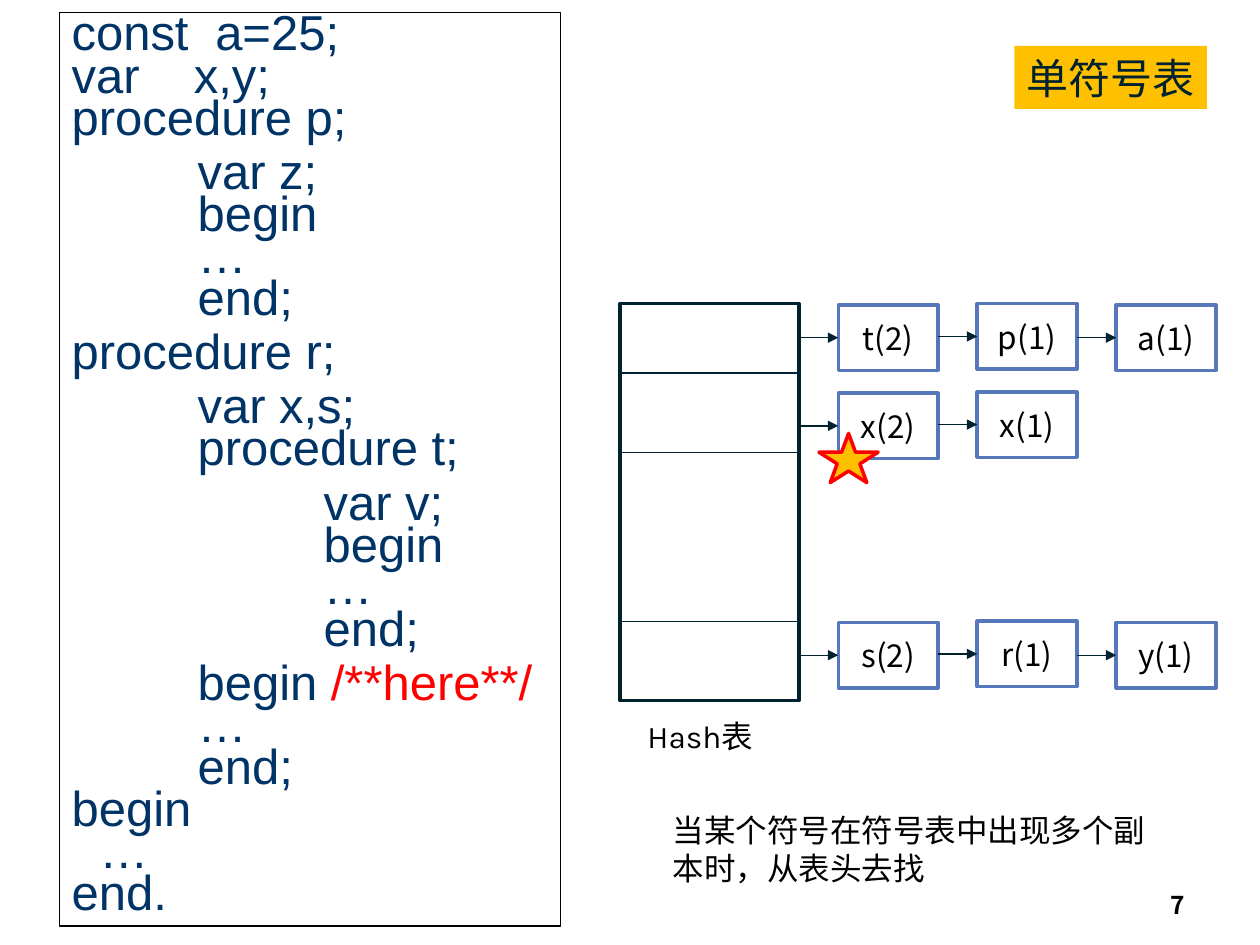
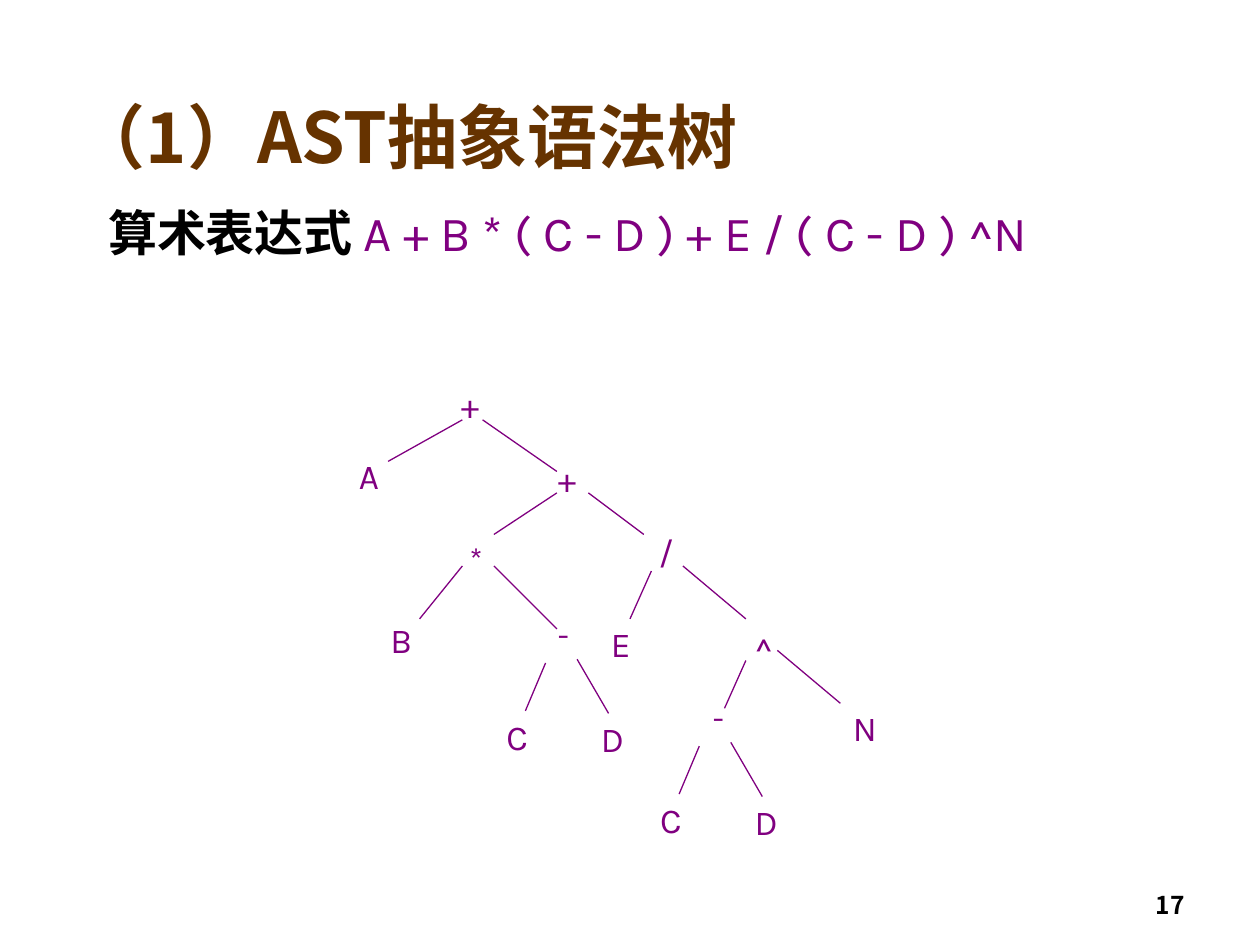
from dataclasses import dataclass

from lxml.etree import SubElement
from pptx import Presentation
from pptx.dml.color import RGBColor
from pptx.enum.shapes import MSO_CONNECTOR, MSO_SHAPE
from pptx.enum.text import MSO_ANCHOR, MSO_AUTO_SIZE, PP_ALIGN
from pptx.oxml.ns import qn
from pptx.util import Inches, Pt

COLS, ROWS = 100, 75
SLIDE_W, SLIDE_H = Inches(10), Inches(7.5)


@dataclass(frozen=True)
class Theme:
    black: str = "000000"
    ink: str = "00212E"
    code: str = "003366"
    red: str = "FF0000"
    node: str = "5677BC"
    gold: str = "FFC000"
    title: str = "663300"
    purple: str = "800080"
    code_font: str = "Arial"
    body_font: str = "Karla"
    cjk_font: str = "Noto Sans CJK SC"
    title_size: float = 40
    large: float = 28
    label: float = 24
    leaf: float = 20
    body: float = 18
    page: float = 14
    thin: float = 0.75
    thick: float = 2


T = Theme()


@dataclass(frozen=True)
class Box:
    x: float
    y: float
    w: float
    h: float

    def at(self, dx, dy, w, h):
        return Box(self.x + dx, self.y + dy, w, h)

    def emu(self):
        return (*point(self.x, self.y), *point(self.w, self.h))


def point(col, row):
    return round(SLIDE_W * col / COLS), round(SLIDE_H * row / ROWS)


def rgb(color):
    return RGBColor.from_string(color)


def add_run(p, text, size, color, font=T.body_font, bold=False):
    r = p.add_run()
    r.text = text
    r.font.size, r.font.bold, r.font.name = Pt(size), bold, font
    r.font.color.rgb = rgb(color)
    if font != T.code_font:
        ea = SubElement(r.font._element, qn("a:ea"))
        ea.set("typeface", T.cjk_font)


def indent(p, cols):
    p._p.get_or_add_pPr().set("marL", str(point(cols, 0)[0]))


def add_tab_stop(p, cols):
    tabs = SubElement(p._p.get_or_add_pPr(), qn("a:tabLst"))
    tab = SubElement(tabs, qn("a:tab"))
    tab.set("pos", str(point(cols, 0)[0]))
    tab.set("algn", "l")


def add_text(s, box, wrap=True, grow=True, anchor=MSO_ANCHOR.TOP):
    tf = s.shapes.add_textbox(*box.emu()).text_frame
    tf.word_wrap = wrap
    tf.auto_size = MSO_AUTO_SIZE.SHAPE_TO_FIT_TEXT if grow else MSO_AUTO_SIZE.NONE
    tf.vertical_anchor = anchor
    return tf.paragraphs[0]


def add_shape(s, box, line=None, width=T.thick, fill=None, kind=MSO_SHAPE.RECTANGLE):
    sp = s.shapes.add_shape(kind, *box.emu())
    sp.shadow.inherit = False
    if fill:
        sp.fill.solid()
        sp.fill.fore_color.rgb = rgb(fill)
    else:
        sp.fill.background()
    if line:
        sp.line.color.rgb = rgb(line)
        sp.line.width = Pt(width)
    else:
        sp.line.fill.background()
    return sp


def add_line(s, x1, y1, x2, y2, color, arrow=False):
    c = s.shapes.add_connector(MSO_CONNECTOR.STRAIGHT, *point(x1, y1), *point(x2, y2))
    c.line.color.rgb = rgb(color)
    c.line.width = Pt(T.thin)
    if arrow:
        SubElement(c.line._get_or_add_ln(), qn("a:tailEnd")).set("type", "triangle")
    SubElement(c._element.spPr, qn("a:effectLst"))


def page_number(s, number):
    p = add_text(s, Box(71.7, 68.3, 23.3, 5.2), grow=False, anchor=MSO_ANCHOR.BOTTOM)
    p.alignment = PP_ALIGN.RIGHT
    add_run(p, str(number), T.page, T.black, T.cjk_font, True)


CODE = [
    (0, 7, "const\ta=25;", 11.4), (0, 0, "var\tx,y;", 9.7), (0, 0, "procedure p;"),
    (10, 7, "var z;"), (10, 0, "begin"), (10, 0, "…"), (10, 0, "end;"),
    (0, 7, "procedure r;"),
    (10, 7, "var x,s;"), (10, 0, "procedure t;"),
    (20, 7, "var v;"), (20, 0, "begin"), (20, 0, "…"), (20, 0, "end;"),
    (10, 7, "begin /**here**/"), (10, 0, "…"), (10, 0, "end;"),
    (0, 0, "begin"), (2.2, 0, "…"), (0, 0, "end."),
]


def code_panel(s, box):
    tf = add_shape(s, box, T.black, T.thin).text_frame
    tf.word_wrap = True
    tf.vertical_anchor = MSO_ANCHOR.TOP
    for i, (cols, before, text, *stops) in enumerate(CODE):
        p = tf.add_paragraph() if i else tf.paragraphs[0]
        p.alignment = PP_ALIGN.LEFT
        p.line_spacing, p.space_before = Pt(24), Pt(before)
        indent(p, cols)
        for stop in stops:
            add_tab_stop(p, stop)
        plain, mark, comment = text.partition("/**")
        add_run(p, plain, T.large, T.code, T.code_font)
        if mark:
            add_run(p, mark + comment, T.large, T.red, T.code_font)


BUCKET_EDGES = [5.5, 11.8, 25.2]
CHAINS = [(0.1, ["t(2)", "p(1)", "a(1)"]), (7.1, ["x(2)", "x(1)"]),
          (25.3, ["s(2)", "r(1)", "y(1)"])]


def hash_table(s, box):
    table_w, node_w, node_h, gap = 14.2, 7.9, 5.2, 3.13
    table = box.at(0, 0, table_w, box.h)
    add_shape(s, table, T.ink)
    for dy in BUCKET_EDGES:
        add_line(s, box.x, box.y + dy, box.x + table_w, box.y + dy, T.ink)
    for dy, names in CHAINS:
        for i, name in enumerate(names):
            node = box.at(table_w + gap + i * (node_w + gap), dy - i % 2 * 0.1,
                          node_w, node_h)
            sp = add_shape(s, node, T.node)
            p = sp.text_frame.paragraphs[0]
            p.alignment = PP_ALIGN.CENTER
            add_run(p, name, T.body, T.black, T.cjk_font)
            mid = node.y + node_h / 2
            add_line(s, node.x - gap, mid, node.x, mid, T.ink, arrow=True)
    add_run(add_text(s, box.at(1.2, 32.3, 11.1, 4), wrap=False), "Hash表", T.body, T.black)
    add_shape(s, box.at(15.8, 10.3, 4.7, 3.9), T.red, fill=T.gold,
              kind=MSO_SHAPE.STAR_5_POINT)


def heading_tag(s, box):
    sp = add_shape(s, box, fill=T.gold)
    tf = sp.text_frame
    tf.word_wrap = False
    p = tf.paragraphs[0]
    p.alignment = PP_ALIGN.LEFT
    add_run(p, "单符号表", T.label, T.ink)


def symbol_table_slide(s):
    code_panel(s, Box(4.7, 1, 39.8, 72.5))
    hash_table(s, Box(49.2, 24.1, 47.3, 31.5))
    add_run(add_text(s, Box(52.4, 63.9, 41, 7)),
            "当某个符号在符号表中出现多个副本时，从表头去找", T.body, T.black)
    heading_tag(s, Box(80.5, 3.65, 15.3, 5))
    page_number(s, 7)


NODES = [
    ("+", 8.1, 0, 4.4, T.leaf), ("A", 0, 5.7, 4.2, T.leaf),
    ("+", 15.8, 5.9, 4.2, T.leaf), ("*", 8.8, 12.4, 3.7, T.body),
    ("/", 23.8, 11.7, 3.7, T.leaf), ("B", 2.5, 18.7, 4.2, T.leaf),
    ("-", 15.8, 18.4, 4.2, T.body), ("E", 20, 19, 4.2, T.leaf),
    ("^", 31.4, 19.2, 5.2, T.leaf), ("N", 39.2, 25.7, 4.2, T.leaf),
    ("-", 28.1, 25, 4.2, T.body),
]
EDGES = [
    (9.2, 3.4, 3.3, 6.7), (10.8, 3.4, 16.7, 7.5), (16.7, 9.2, 11.7, 12.5),
    (19.2, 9.2, 23.6, 12.5), (26.7, 15, 31.7, 19.2), (24.2, 15.4, 22.5, 19.2),
    (11.7, 15, 16.7, 20), (9.2, 15, 5.8, 19.2), (31.7, 22.5, 30, 26.3),
    (34.2, 21.7, 39.2, 25.9),
]
DIFFERENCES = [(11.7, 26.4), (23.9, 33)]


def tree_node(s, box, symbol, size):
    p = add_text(s, box)
    p.space_before = Pt(size * 0.625)
    add_run(p, symbol, size, T.purple)


def tree_edge(s, box, x1, y1, x2, y2):
    add_line(s, box.x + x1, box.y + y1, box.x + x2, box.y + y2, T.purple)


def difference_leaves(s, box):
    tree_node(s, box.at(0, 0, 4.2, 4.4), "C", T.leaf)
    tree_node(s, box.at(7.5, 0.1, 5.2, 4.4), "D", T.leaf)
    tree_edge(s, box, 4.1, -3.7, 2.5, 0.1)
    tree_edge(s, box, 6.6, -4, 9.1, 0.3)


def syntax_tree(s, box):
    for symbol, dx, dy, w, size in NODES:
        tree_node(s, box.at(dx, dy, w, size * 0.22), symbol, size)
    for edge in EDGES:
        tree_edge(s, box, *edge)
    for dx, dy in DIFFERENCES:
        difference_leaves(s, box.at(dx, dy, 12.7, 4.5))


def title(s, box, text):
    p = add_text(s, box, grow=False, anchor=MSO_ANCHOR.MIDDLE)
    add_run(p, text, T.title_size, T.title, T.cjk_font, True)


def syntax_tree_slide(s):
    title(s, Box(5.05, 3.2, 90, 15.1), "（1）AST抽象语法树")
    p = add_text(s, Box(5.8, 15.55, 90.6, 10.4))
    indent(p, 1.8)
    add_run(p, "算术表达式 ", T.large, T.black, bold=True)
    add_run(p, "A + B * ( C - D ) + E / ( C - D ) ^N", T.large, T.purple)
    syntax_tree(s, Box(27.5, 29.92, 43.4, 37.6))
    page_number(s, 17)


def main():
    prs = Presentation()
    prs.slide_width, prs.slide_height = SLIDE_W, SLIDE_H
    for build in (symbol_table_slide, syntax_tree_slide):
        build(prs.slides.add_slide(prs.slide_layouts[6]))
    prs.save("out.pptx")


if __name__ == "__main__":
    main()
